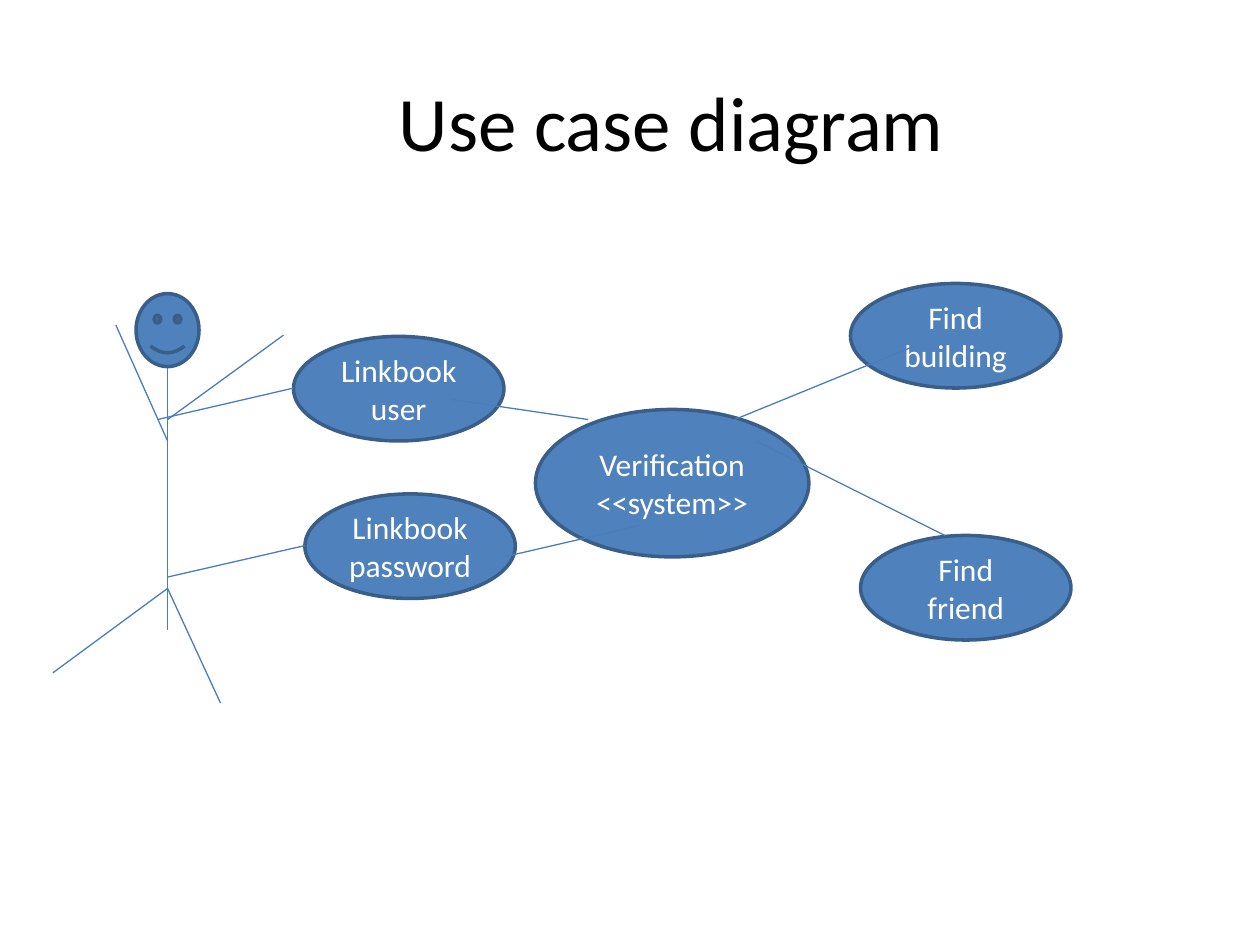
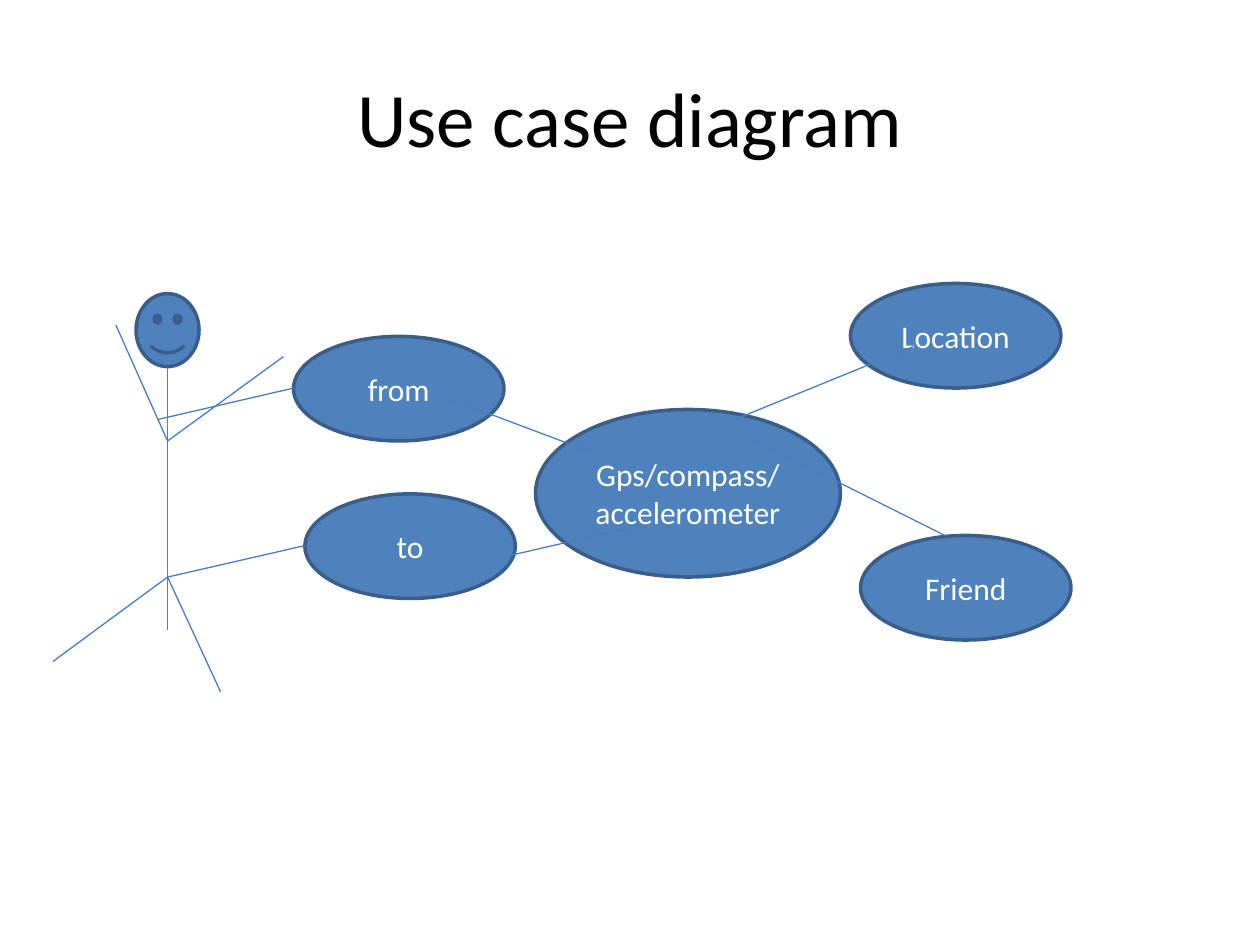
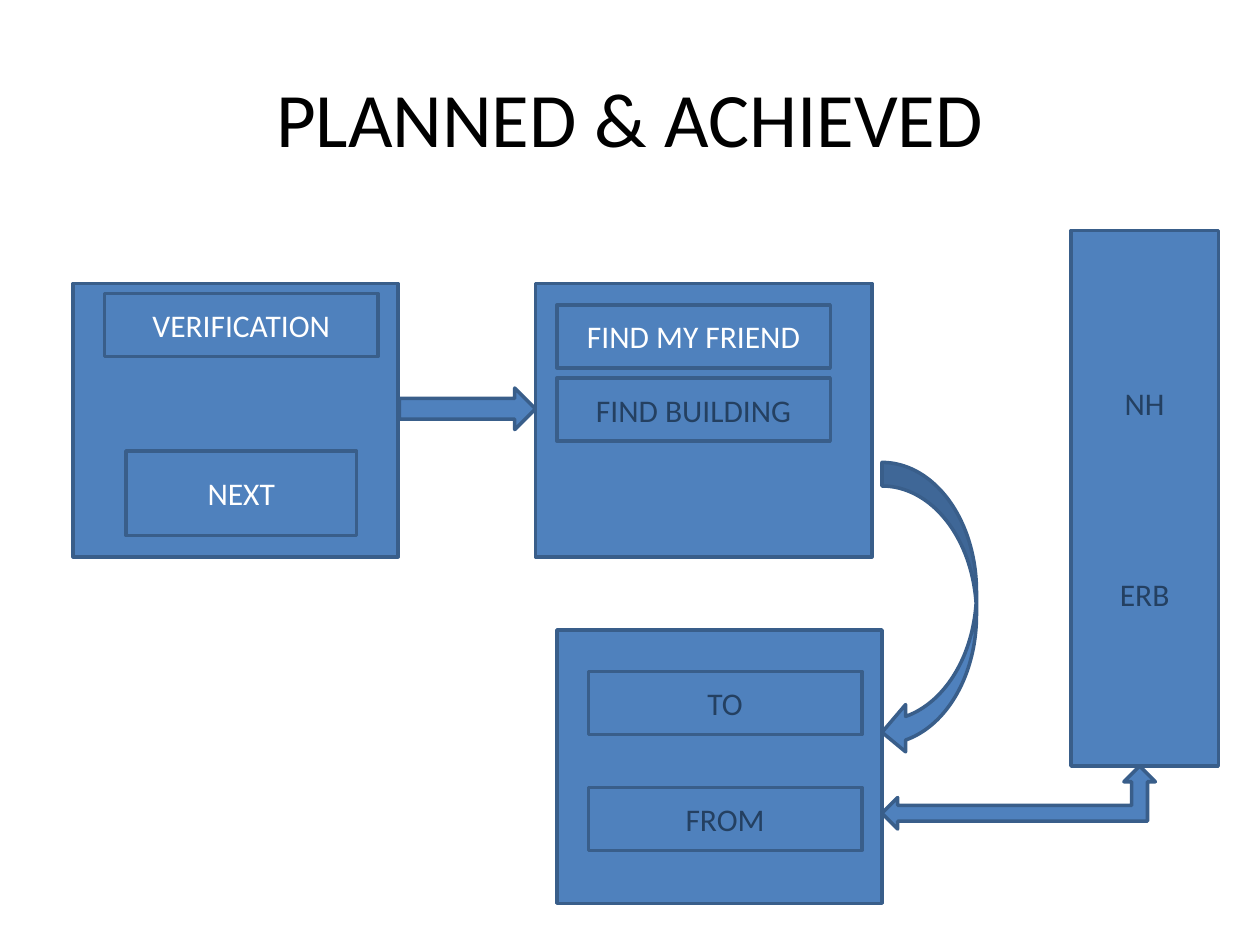
"""Builds two use case diagrams and a plan of the application screens."""
from dataclasses import dataclass

from lxml import etree
from pptx import Presentation
from pptx.dml.color import RGBColor
from pptx.enum.shapes import MSO_CONNECTOR, MSO_SHAPE
from pptx.enum.text import MSO_ANCHOR, PP_ALIGN
from pptx.oxml.ns import qn
from pptx.util import Inches, Pt

STRAIGHT = MSO_CONNECTOR.STRAIGHT
OVAL = MSO_SHAPE.OVAL
RECTANGLE = MSO_SHAPE.RECTANGLE
SMILEY = MSO_SHAPE.SMILEY_FACE
RIGHT_ARROW = MSO_SHAPE.RIGHT_ARROW
CURVED_ARROW = MSO_SHAPE.CURVED_LEFT_ARROW
CORNER_ARROW = MSO_SHAPE.LEFT_UP_ARROW
MIDDLE = MSO_ANCHOR.MIDDLE
CENTER = PP_ALIGN.CENTER


@dataclass(frozen=True)
class Theme:
    font: str = "Calibri"
    title_size: int = 44
    label_size: int = 18
    outline_width: float = 2
    link_width: float = 0.75
    black: str = "000000"
    white: str = "FFFFFF"
    navy: str = "244061"
    fill: str = "4F81BD"
    outline: str = "395E8A"
    link: str = "4A7DBB"


THEME = Theme()

USE_CASES = [
    {
        "title": "Use case diagram",
        "title_at": (0.83, 0.33),
        "cases": ["Linkbook user", "Find building", "Linkbook\npassword", "Find friend"],
        "system": "Verification\n<<system>>",
        "system_size": (2.17, 1.17),
        "shoulder": 3.33,
        "hip": 4.67,
        "input_end": 3.33,
    },
    {
        "title": "Use case diagram",
        "title_at": (0.5, 0.3),
        "cases": ["from", "Location", "to", "Friend"],
        "system": "Gps/compass/\naccelerometer",
        "system_size": (2.42, 1.33),
        "shoulder": 3.5,
        "hip": 4.58,
        "input_end": 3.58,
    },
]
CASE_SIZE = (1.67, 0.83)
CASE_POSITIONS = [(2.33, 2.67), (6.75, 2.25), (2.42, 3.92), (6.83, 4.25)]
SYSTEM_AT = (4.25, 3.25)
SPINE = 1.33
LINKS = [
    ((1.25, 3.33), (2.33, 3.08)),
    ((1.33, 4.58), (2.42, 4.33)),
    ((4, 4.42), (5.08, 4.17)),
    ((5.83, 3.33), (7.25, 2.75)),
    ((6, 3.5), (7.5, 4.25)),
]

PLAN_TITLE = "PLANNED & ACHIEVED"
PANELS = [(0.58, 2.25, 2.58, 2.17), (4.25, 2.25, 2.67, 2.17), (4.42, 5, 2.58, 2.17)]
ARROWS = [
    (RIGHT_ARROW, (3.17, 3.08, 1.08, 0.33)),
    (CURVED_ARROW, (7, 3.67, 0.75, 2.33)),
    (CORNER_ARROW, (7, 6.08, 2.17, 0.5)),
]
FIELD_SIZE = (2.17, 0.5)
FIELDS = [
    ("VERIFICATION", (0.83, 2.33), THEME.white),
    ("FIND MY FRIEND", (4.42, 2.42), THEME.white),
    ("FIND BUILDING", (4.42, 3), THEME.navy),
    ("TO", (4.67, 5.33), THEME.navy),
    ("FROM", (4.67, 6.25), THEME.navy),
]
NEXT_BOX = (1, 3.58, 1.83, 0.67)
TOWER_TEXT = "NH\nERB"
TOWER_BOX = (8.5, 1.83, 1.17, 4.25)
TOWER_GAP = 88


def color(value):
    return RGBColor.from_string(value)


def write(shape, text, size, text_color, gap=0):
    frame = shape.text_frame
    frame.word_wrap = True
    frame.vertical_anchor = MIDDLE
    frame.text = text
    for index, paragraph in enumerate(frame.paragraphs):
        paragraph.alignment = CENTER
        paragraph.font.name = THEME.font
        paragraph.font.size = Pt(size)
        paragraph.font.color.rgb = color(text_color)
        if index and gap:
            paragraph.space_before = Pt(gap)


def add_title(slide, text, position=(0.5, 0.3)):
    box = slide.shapes.add_textbox(*map(Inches, (*position, 9, 1.25)))
    write(box, text, THEME.title_size, THEME.black)


def add_block(slide, kind, box, text="", text_color=THEME.white, gap=0):
    shape = slide.shapes.add_shape(kind, *map(Inches, box))
    shape.shadow.inherit = False
    shape.fill.solid()
    shape.fill.fore_color.rgb = color(THEME.fill)
    shape.line.color.rgb = color(THEME.outline)
    shape.line.width = Pt(THEME.outline_width)
    if text:
        write(shape, text, THEME.label_size, text_color, gap)


def add_line(slide, start, end):
    line = slide.shapes.add_connector(STRAIGHT, *map(Inches, (*start, *end)))
    line.line.color.rgb = color(THEME.link)
    line.line.width = Pt(THEME.link_width)
    etree.SubElement(line._element.spPr, qn("a:effectLst"))


def add_actor(slide, shoulder, hip):
    add_block(slide, SMILEY, (1.08, 2.33, 0.5, 0.58))
    limbs = [
        ((SPINE, 2.92), (SPINE, 5)),
        ((SPINE, hip), (1.75, hip + 0.91)),
        ((SPINE, hip), (0.42, hip + 0.67)),
        ((SPINE, 3.5), (0.92, 2.58)),
        ((SPINE, shoulder), (2.25, shoulder - 0.67)),
    ]
    for start, end in limbs:
        add_line(slide, start, end)


def build_use_case(slide, diagram):
    add_title(slide, diagram["title"], diagram["title_at"])
    add_actor(slide, diagram["shoulder"], diagram["hip"])
    for text, position in zip(diagram["cases"], CASE_POSITIONS):
        add_block(slide, OVAL, (*position, *CASE_SIZE), text)
    add_block(slide, OVAL, (*SYSTEM_AT, *diagram["system_size"]), diagram["system"])
    input_link = ((3.58, 3.17), (4.67, diagram["input_end"]))
    for start, end in [*LINKS, input_link]:
        add_line(slide, start, end)


def build_plan(slide):
    add_title(slide, PLAN_TITLE)
    for box in PANELS:
        add_block(slide, RECTANGLE, box)
    for kind, box in ARROWS:
        add_block(slide, kind, box)
    for text, position, text_color in FIELDS:
        add_block(slide, RECTANGLE, (*position, *FIELD_SIZE), text, text_color)
    add_block(slide, RECTANGLE, NEXT_BOX, "NEXT")
    add_block(slide, RECTANGLE, TOWER_BOX, TOWER_TEXT, THEME.navy, TOWER_GAP)


def main():
    presentation = Presentation()
    presentation.slide_width = Inches(10)
    presentation.slide_height = Inches(7.5)
    blank = presentation.slide_layouts[6]
    for diagram in USE_CASES:
        build_use_case(presentation.slides.add_slide(blank), diagram)
    build_plan(presentation.slides.add_slide(blank))
    presentation.save("out.pptx")


if __name__ == "__main__":
    main()
